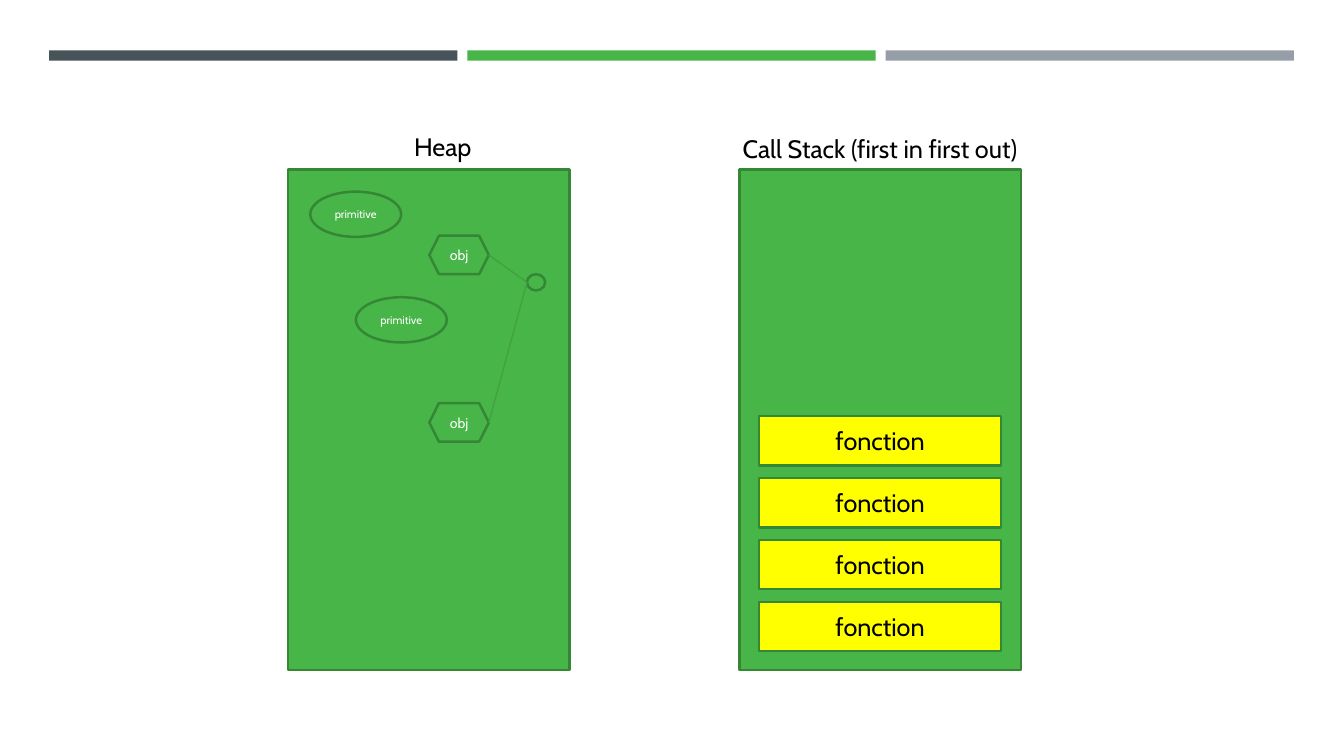
from lxml.etree import SubElement
from pptx import Presentation
from pptx.dml.color import RGBColor
from pptx.enum.shapes import MSO_CONNECTOR as Link, MSO_SHAPE as Geo
from pptx.enum.text import MSO_ANCHOR as Anchor, MSO_AUTO_SIZE as AutoSize, PP_ALIGN as Align
from pptx.oxml.ns import qn
from pptx.util import Cm, Pt

SLATE = RGBColor(0x46, 0x53, 0x59)
GREEN = RGBColor(0x47, 0xB5, 0x47)
GREY = RGBColor(0x96, 0x9F, 0xA7)
OUTLINE = RGBColor(0x35, 0x86, 0x35)
LINK = RGBColor(0x40, 0xA3, 0x40)
YELLOW = RGBColor(0xFF, 0xFF, 0x00)
BLACK = RGBColor(0x00, 0x00, 0x00)
WHITE = RGBColor(0xFF, 0xFF, 0xFF)


class Painter:
    """Holds the style and the current slide; all lengths are in centimetres."""

    font = "Cabin"
    outline_width = Pt(1.75)
    link_width = Pt(1)

    def __init__(self, slide):
        self.shapes = slide.shapes

    def add_words(self, frame, words, size, color):
        paragraph = frame.paragraphs[0]
        paragraph.alignment = Align.CENTER
        run = paragraph.add_run()
        run.text = words
        run.font.name = self.font
        run.font.size = Pt(size)
        run.font.color.rgb = color

    def shape(self, geo, left, top, width, height, fill=GREEN, outline=OUTLINE,
              words="", size=18, color=WHITE):
        item = self.shapes.add_shape(geo, Cm(left), Cm(top), Cm(width), Cm(height))
        item.shadow.inherit = False
        item.fill.solid()
        item.fill.fore_color.rgb = fill
        if outline is None:
            item.line.fill.background()
        else:
            item.line.color.rgb = outline
            item.line.width = self.outline_width
        if words:
            item.text_frame.word_wrap = False
            item.text_frame.vertical_anchor = Anchor.MIDDLE
            self.add_words(item.text_frame, words, size, color)
        return item

    def label(self, left, top, width, height, words, size=18):
        frame = self.shapes.add_textbox(Cm(left), Cm(top), Cm(width), Cm(height)).text_frame
        frame.word_wrap = True
        frame.auto_size = AutoSize.SHAPE_TO_FIT_TEXT
        self.add_words(frame, words, size, BLACK)

    def link(self, source, target):
        """Joins the right edge of source to the left edge of target."""
        line = self.shapes.add_connector(
            Link.STRAIGHT,
            source.left + source.width, source.top + source.height // 2,
            target.left, target.top + target.height // 2)
        line.line.color.rgb = LINK
        line.line.width = self.link_width
        SubElement(line._element.spPr, qn("a:effectLst"))


deck = Presentation()
deck.slide_width, deck.slide_height = Cm(33.87), Cm(19.05)
painter = Painter(deck.slides.add_slide(deck.slide_layouts[6]))

# Header bars
for column, bar_color in enumerate((SLATE, GREEN, GREY)):
    painter.shape(Geo.RECTANGLE, 1.24 + column * 10.54, 1.27, 10.29, 0.26, bar_color, None)

# Memory areas
for area_left in (7.26, 18.64):
    painter.shape(Geo.RECTANGLE, area_left, 4.27, 7.09, 12.62)

# Call stack frames
for level in range(4):
    painter.shape(Geo.RECTANGLE, 19.13, 10.49 + level * 1.56, 6.1, 1.24, YELLOW,
                  words="fonction", color=BLACK)

# Heap content
for left, top in ((7.82, 4.83), (8.97, 7.49)):
    painter.shape(Geo.OVAL, left, top, 2.29, 1.14, words="primitive", size=8)
objects = [painter.shape(Geo.HEXAGON, 10.82, top, 1.5, 0.97, words="obj", size=10)
           for top in (5.94, 10.16)]

# Area titles
painter.label(18.16, 3.23, 8.03, 1.02, "Call Stack (first in first out)")
painter.label(9.04, 3.18, 4.24, 1.02, "Heap")

# Shared reference of both objects
reference = painter.shape(Geo.OVAL, 13.28, 6.91, 0.46, 0.41)
for heap_object in objects:
    painter.link(heap_object, reference)

deck.save("out.pptx")
